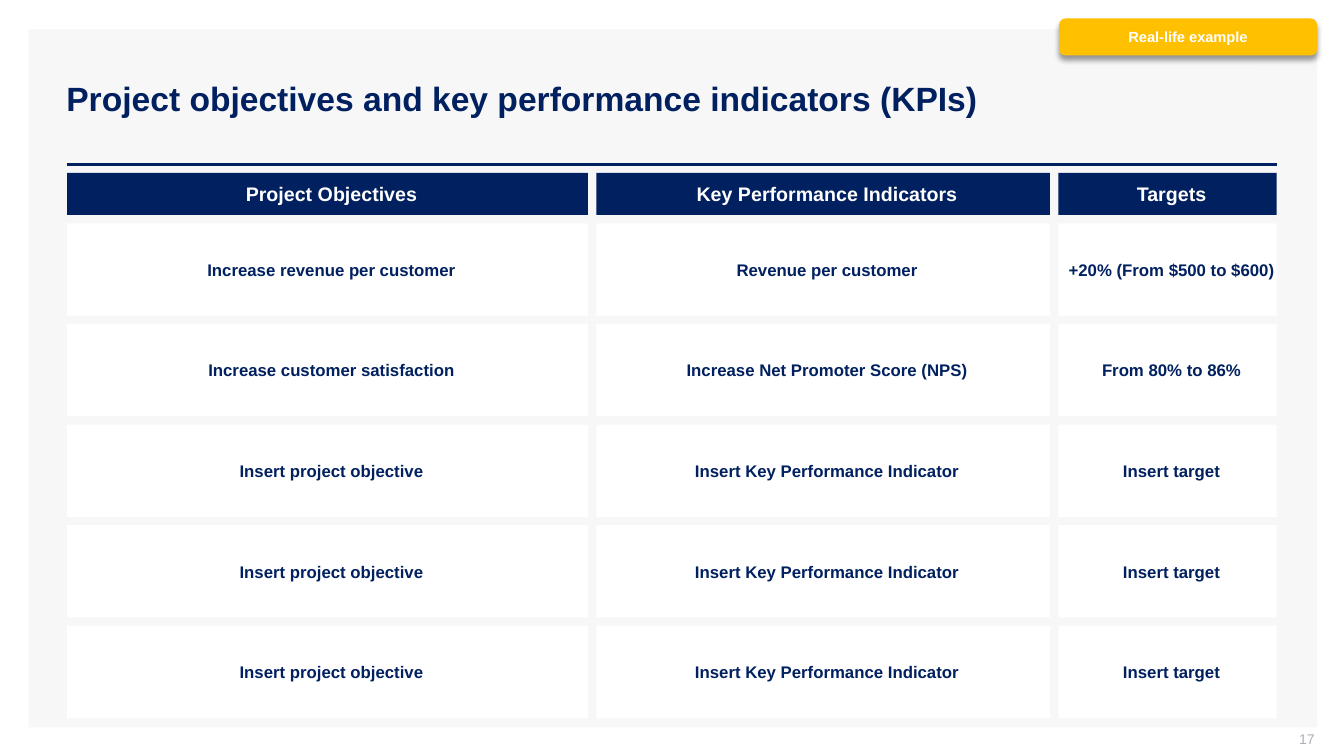
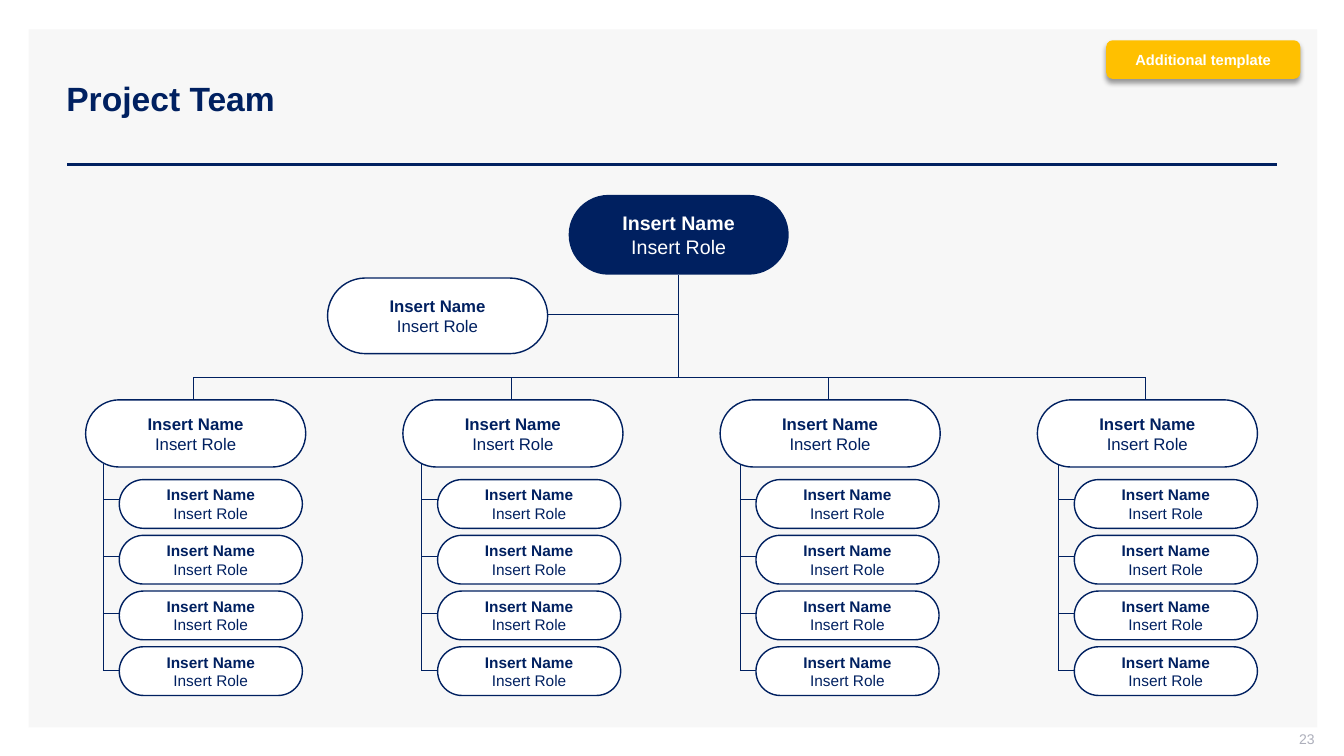
from dataclasses import dataclass
from typing import NamedTuple, Optional

from lxml import etree
from pptx import Presentation
from pptx import util as u
from pptx.dml.color import RGBColor
from pptx.enum import shapes, text
from pptx.oxml.ns import qn

COLUMNS, ROWS = 160, 90
UNIT = u.Inches(1) / 12


@dataclass(frozen=True)
class Theme:
    font: str = "Arial"
    navy: str = "002060"
    white: str = "FFFFFF"
    panel: str = "F7F7F7"
    amber: str = "FFC000"
    grey: str = "ADAFBB"
    title: float = 24
    heading: float = 14
    body: float = 12
    small: float = 11
    tag: float = 10.5
    page: float = 10
    rule: float = 2
    outline: float = 1
    hairline: float = 0.5


THEME = Theme()


class Box(NamedTuple):
    left: float
    top: float
    width: float
    height: float

    def lengths(self) -> list[int]:
        return [grid(value) for value in self]


class Track(NamedTuple):
    first: float
    last: float
    count: int

    def positions(self) -> list[float]:
        step = (self.last - self.first) / (self.count - 1)
        return [self.first + step * index for index in range(self.count)]


@dataclass(frozen=True)
class Style:
    fill: str
    color: str
    size: float
    outline: Optional[str] = None
    preset: shapes.MSO_SHAPE = shapes.MSO_SHAPE.RECTANGLE
    rounding: Optional[float] = None


PILL = shapes.MSO_SHAPE.ROUNDED_RECTANGLE
PANEL = Style(THEME.panel, THEME.navy, THEME.body)
HEADER_CELL = Style(THEME.navy, THEME.white, THEME.heading)
BODY_CELL = Style(THEME.white, THEME.navy, THEME.body)
TAG = Style(THEME.amber, THEME.white, THEME.tag, preset=PILL)
LEAD_CARD = Style(THEME.navy, THEME.white, THEME.heading, None, PILL, 0.5)
HEAD_CARD = Style(THEME.white, THEME.navy, THEME.body, THEME.navy, PILL, 0.5)
MEMBER_CARD = Style(THEME.white, THEME.navy, THEME.small, THEME.navy, PILL, 0.5)

MARGIN, GAP = 8, 1
COLUMN_WIDTHS = (62, 54, 26)
HEADER_TOP, HEADER_HEIGHT = 20.6, 5
ROW_TOPS, ROW_HEIGHT = Track(26.6, 74.5, 5), 11
HEADERS = ("Project Objectives", "Key Performance Indicators", "Targets")
PLACEHOLDER_ROW = ("Insert project objective", "Insert Key Performance Indicator", "Insert target")
OBJECTIVES = (
    ("Increase revenue per customer", "Revenue per customer", "+20% (From $500 to $600)"),
    ("Increase customer satisfaction", "Increase Net Promoter Score (NPS)", "From 80% to 86%"),
    PLACEHOLDER_ROW,
    PLACEHOLDER_ROW,
    PLACEHOLDER_ROW,
)

PERSON = ("Insert Name", "Insert Role")
CARD_WIDTH = 26.2
LEAD = Box(67.7, 23.2, CARD_WIDTH, 9.5)
DEPUTY = Box(39, 33.1, CARD_WIDTH, 9)
TRUNK, BUS, DEPUTY_LINK = 80.8, 44.9, 37.4
DROPS = Track(23.05, 136.4, 4)
HEAD_LEFTS, HEAD_TOP, HEAD_HEIGHT = Track(10.2, 123.5, 4), 47.6, 8
SPINES, SPINE_TOP = Track(12.25, 126, 4), 55.2
BRANCHES = Track(59.4, 79.8, 4)
MEMBER_LEFTS, MEMBER_TOPS = Track(14.2, 127.9, 4), Track(57.1, 77, 4)
MEMBER_WIDTH, MEMBER_HEIGHT = 21.8, 5.8


def grid(value: float) -> int:
    return round(value * UNIT)


def rgb(value: str) -> RGBColor:
    return RGBColor.from_string(value)


def format_paragraph(paragraph, size: float, color: str, bold: bool, alignment) -> None:
    paragraph.alignment = alignment
    for run in paragraph.runs:
        run.font.name = THEME.font
        run.font.size = u.Pt(size)
        run.font.bold = bold
        run.font.color.rgb = rgb(color)


def add_block(slide, box: Box, style: Style, lines: tuple[str, ...] = ()):
    shape = slide.shapes.add_shape(style.preset, *box.lengths())
    shape.shadow.inherit = False
    shape.fill.solid()
    shape.fill.fore_color.rgb = rgb(style.fill)
    if style.outline:
        shape.line.color.rgb = rgb(style.outline)
        shape.line.width = u.Pt(THEME.outline)
    else:
        shape.line.fill.background()
    if style.rounding is not None:
        shape.adjustments[0] = style.rounding
    frame = shape.text_frame
    frame.word_wrap = True
    frame.vertical_anchor = text.MSO_ANCHOR.MIDDLE
    if lines:
        frame.text = "\n".join(lines)
        for index, paragraph in enumerate(frame.paragraphs):
            format_paragraph(paragraph, style.size, style.color, index == 0, text.PP_ALIGN.CENTER)
    return shape


def add_line(slide, start: tuple[float, float], end: tuple[float, float], width: float = THEME.hairline):
    points = [grid(value) for value in (*start, *end)]
    connector = slide.shapes.add_connector(shapes.MSO_CONNECTOR.STRAIGHT, *points)
    connector.line.color.rgb = rgb(THEME.navy)
    connector.line.width = u.Pt(width)
    etree.SubElement(connector.element.find(qn("p:spPr")), qn("a:effectLst"))
    return connector


def add_tag(slide, box: Box, label: str) -> None:
    shape = add_block(slide, box, TAG, (label,))
    effects = shape.element.find(qn("p:spPr")).find(qn("a:effectLst"))
    shadow = etree.SubElement(
        effects, qn("a:outerShdw"), blurRad=str(u.Pt(4)), dist=str(u.Pt(3)),
        dir="5400000", algn="t", rotWithShape="0",
    )
    color = etree.SubElement(shadow, qn("a:srgbClr"), val="000000")
    etree.SubElement(color, qn("a:alpha"), val="40000")


def furnish_layout(slide) -> None:
    panel = add_block(slide, Box(3.4, 3.5, 153.4, 83.1), PANEL)
    rule = add_line(slide, (MARGIN, 19.6), (COLUMNS - MARGIN, 19.6), THEME.rule)
    tree = slide.slide_layout.shapes.element
    for index, shape in enumerate((panel, rule)):
        shape.element.xpath("./*/p:cNvPr")[0].set("id", str(100 + index))
        tree.insert(2 + index, shape.element)


def add_titled_slide(presentation, title: str, page: str):
    slide = presentation.slides.add_slide(presentation.slide_layouts[5])
    heading = slide.shapes.title
    heading.left, heading.top, heading.width, heading.height = Box(6.7, 4.8, 145.3, 14.3).lengths()
    frame = heading.text_frame
    frame.text = title
    frame.word_wrap = True
    frame.auto_size = text.MSO_AUTO_SIZE.NONE
    frame.vertical_anchor = text.MSO_ANCHOR.MIDDLE
    frame.paragraphs[0].line_spacing = 0.9
    format_paragraph(frame.paragraphs[0], THEME.title, THEME.navy, True, text.PP_ALIGN.LEFT)

    number = slide.shapes.add_textbox(*Box(120.5, 87, 36, 2.5).lengths()).text_frame
    number.text = page
    number.word_wrap = True
    number.vertical_anchor = text.MSO_ANCHOR.MIDDLE
    number.margin_top = number.margin_right = 0
    format_paragraph(number.paragraphs[0], THEME.page, THEME.grey, False, text.PP_ALIGN.RIGHT)
    return slide


def add_row(slide, top: float, height: float, style: Style, labels: tuple[str, ...]) -> None:
    left = MARGIN
    for width, label in zip(COLUMN_WIDTHS, labels):
        cell = add_block(slide, Box(left, top, width, height), style, (label,))
        cell.text_frame.margin_right = u.Inches(0.02)
        left += width + GAP


def build_objectives(presentation):
    slide = add_titled_slide(presentation, "Project objectives and key performance indicators (KPIs)", "17")
    add_row(slide, HEADER_TOP, HEADER_HEIGHT, HEADER_CELL, HEADERS)
    for top, labels in zip(ROW_TOPS.positions(), OBJECTIVES):
        add_row(slide, top, ROW_HEIGHT, BODY_CELL, labels)
    add_tag(slide, Box(126.1, 2.2, 30.7, 4.4), "Real-life example")
    return slide


def add_team(slide, head_left: float, spine: float, member_left: float) -> None:
    add_line(slide, (spine, SPINE_TOP), (spine, BRANCHES.last))
    for branch in BRANCHES.positions():
        add_line(slide, (spine, branch), (member_left, branch))
    add_block(slide, Box(head_left, HEAD_TOP, CARD_WIDTH, HEAD_HEIGHT), HEAD_CARD, PERSON)
    for top in MEMBER_TOPS.positions():
        add_block(slide, Box(member_left, top, MEMBER_WIDTH, MEMBER_HEIGHT), MEMBER_CARD, PERSON)


def build_team_chart(presentation):
    slide = add_titled_slide(presentation, "Project Team", "23")
    add_line(slide, (DROPS.first, BUS), (DROPS.last, BUS))
    for drop in DROPS.positions():
        add_line(slide, (drop, BUS), (drop, HEAD_TOP + GAP / 2))
    add_line(slide, (TRUNK, LEAD.top + LEAD.height), (TRUNK, BUS))
    add_line(slide, (DEPUTY.left + DEPUTY.width, DEPUTY_LINK), (TRUNK, DEPUTY_LINK))
    for lefts in zip(HEAD_LEFTS.positions(), SPINES.positions(), MEMBER_LEFTS.positions()):
        add_team(slide, *lefts)
    add_block(slide, LEAD, LEAD_CARD, PERSON)
    add_block(slide, DEPUTY, HEAD_CARD, PERSON)
    add_tag(slide, Box(131.7, 4.8, 23.1, 4.6), "Additional template")
    return slide


def main() -> None:
    presentation = Presentation()
    presentation.slide_width = grid(COLUMNS)
    presentation.slide_height = grid(ROWS)
    furnish_layout(build_objectives(presentation))
    build_team_chart(presentation)
    presentation.save("out.pptx")


if __name__ == "__main__":
    main()
